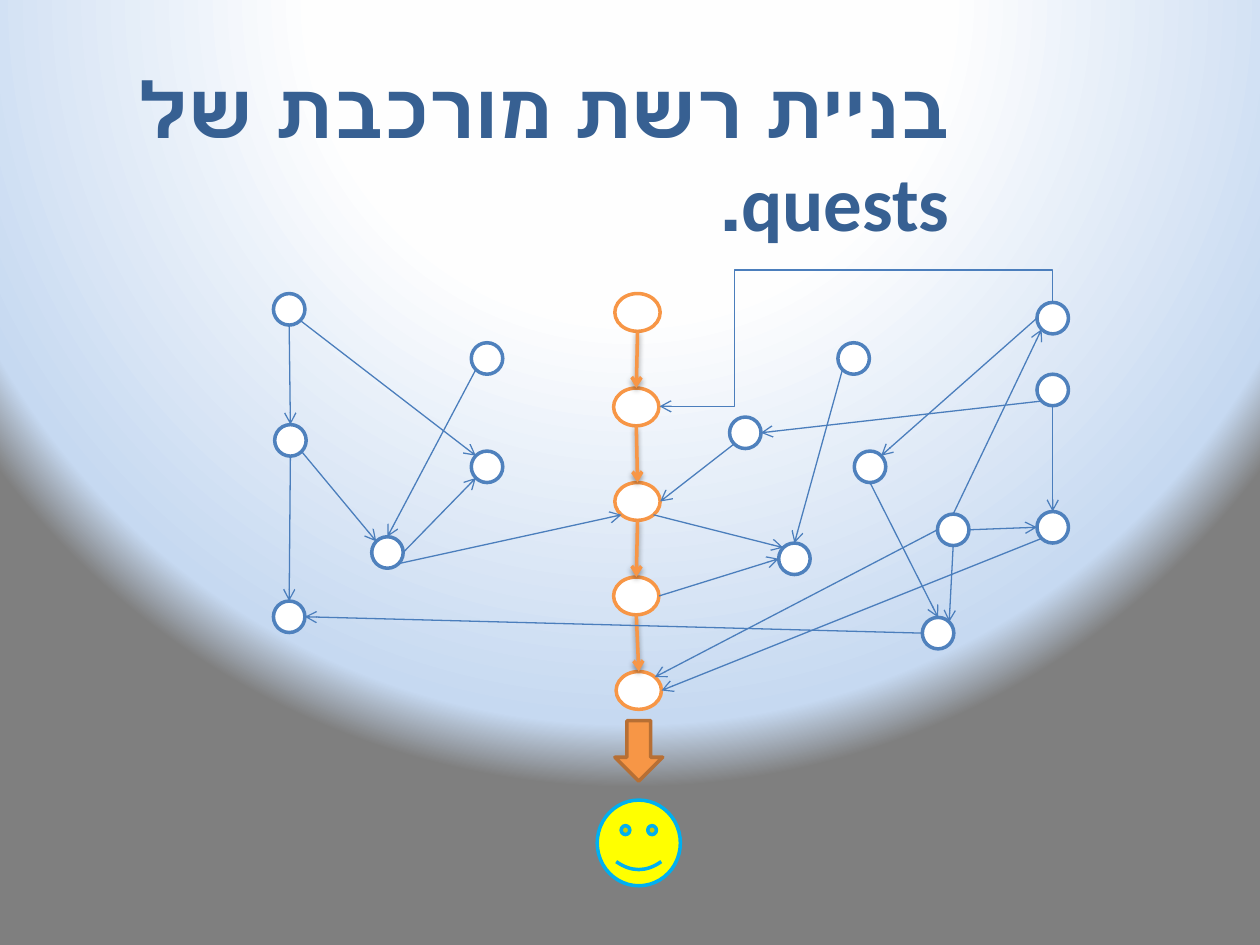
from lxml import etree
from pptx import Presentation
from pptx import util as u
from pptx.dml.color import RGBColor
from pptx.enum import shapes, text
from pptx.oxml import parse_xml
from pptx.oxml.ns import nsdecls, qn

PX = 9144  # EMU per px, 100 px to the inch
COLORS = {
    "title": "376092", "white": "FFFFFF", "node": "4F81BD", "link": "4B7EBC",
    "quest": "F79646", "quest_edge": "B76F34", "face": "FFFF00", "face_edge": "00B0F0",
}
BACKGROUND = [(0, "FFFFFF"), (40, "FEFEFE"), (92, "C6D9F1"), (100, "7F7F7F")]
DIAG = 0.5 ** 0.5
SIDES = {"N": (0, -1), "S": (0, 1), "W": (-1, 0), "E": (1, 0), "NW": (-DIAG, -DIAG),
         "NE": (DIAG, -DIAG), "SW": (-DIAG, DIAG), "SE": (DIAG, DIAG)}

# Quest nodes: name -> left, top
SIDE_SIZE, MAIN_SIZE = (25, 25), (36, 30)
SIDE_NODES = {
    "a": (217, 233), "b": (217, 477), "c": (374, 272), "d": (218, 337), "e": (374, 358),
    "f": (295, 426), "g": (744, 408), "h": (665, 272), "i": (823, 297), "j": (823, 240),
    "k": (823, 406), "l": (678, 358), "n": (579, 331), "o": (732, 490), "p": (618, 431),
}
MAIN_NODES = {f"m{n + 1}": (x, 233 + 75 * n) for n, x in enumerate((488, 487, 488, 487, 489))}

# Links: start node, side, end node, side
LINKS = """a S d N, d SE f NW, d S b N, c SW f N, a SE e NW, f E e SW, f SE m3 SW,
h SW p N, j W l NE, m3 SE p NW, n SW m3 E, l S o N, i SW n E, k SW m5 E, m4 E p W,
g W m5 NE, i S k N, g N j SW, g E k W, g S o NE, o W b E"""


def rgb(name):
    return RGBColor.from_string(COLORS[name])


def px(n):
    return u.Emu(round(n * PX))


class Deck:
    """Holds the style and the current slide."""

    def __init__(self):
        self.prs = Presentation()
        self.prs.slide_width, self.prs.slide_height = px(1000), px(750)
        self.s = self.prs.slides.add_slide(self.prs.slide_layouts[5])

    def background(self, stops):
        fill = self.s.background.fill
        fill.solid()
        bg = self.s.element.find(".//" + qn("p:bgPr"))
        marks = "".join(f'<a:gs pos="{pos * 1000}"><a:srgbClr val="{c}"/></a:gs>' for pos, c in stops)
        grad = parse_xml(
            f'<a:gradFill {nsdecls("a")} rotWithShape="1"><a:gsLst>{marks}</a:gsLst><a:path path="circle">'
            '<a:fillToRect l="50000" t="-80000" r="50000" b="180000"/></a:path></a:gradFill>')
        bg.replace(bg.find(qn("a:solidFill")), grad)

    def title(self, words, x, y, w, h):
        sp = self.s.shapes.title
        sp.left, sp.top, sp.width, sp.height = map(px, (x, y, w, h))
        tf = sp.text_frame
        frame = {"word_wrap": True, "auto_size": text.MSO_AUTO_SIZE.NONE,
                 "vertical_anchor": text.MSO_ANCHOR.TOP, "margin_left": 0, "margin_right": px(144)}
        for key, value in frame.items():
            setattr(tf, key, value)
        p = tf.paragraphs[0]
        p.alignment = text.PP_ALIGN.RIGHT
        p._p.get_or_add_pPr().set("rtl", "1")
        r = p.add_run()
        r.text = words
        for key, value in {"size": u.Pt(44), "name": "Calibri", "bold": True}.items():
            setattr(r.font, key, value)
        r.font.color.rgb = rgb("title")

    def shape(self, kind, pos, size, fill, line):
        sp = self.s.shapes.add_shape(kind, *map(px, pos + size))
        sp.shadow.inherit = False
        sp.fill.solid()
        sp.fill.fore_color.rgb = rgb(fill)
        sp.line.color.rgb = rgb(line)
        sp.line.width = u.Pt(2)
        return sp

    def arrow(self, start, end, color="link", width=0.75, shadow=False,
              kind=shapes.MSO_CONNECTOR.STRAIGHT):
        cx = self.s.shapes.add_connector(kind, *start, *end)
        cx.line.color.rgb = rgb(color)
        cx.line.width = u.Pt(width)
        etree.SubElement(cx.line._get_or_add_ln(), qn("a:tailEnd"), type="arrow")
        effects = etree.SubElement(cx._element.spPr, qn("a:effectLst"))
        if shadow:
            effects.append(parse_xml(
                f'<a:outerShdw {nsdecls("a")} blurRad="40000" dist="20000" dir="5400000" rotWithShape="0">'
                '<a:srgbClr val="000000"><a:alpha val="38000"/></a:srgbClr></a:outerShdw>'))
        return cx

    def bent_arrow(self, first, last, box, adjust):
        """Four-part elbow from the top of one node to the right side of another."""
        cx = self.arrow(side(first, "N"), side(last, "E"), kind=shapes.MSO_CONNECTOR.ELBOW)
        cx.begin_connect(first, 0)
        cx.end_connect(last, 3)
        cx._element.find(".//" + qn("a:endCxn")).set("idx", "6")  # right side of an ellipse
        cx.left, cx.top, cx.width, cx.height = map(px, box)
        xfrm = cx._element.spPr.find(qn("a:xfrm"))
        for key, value in {"rot": "16200000", "flipH": "1", "flipV": "1"}.items():
            xfrm.set(key, value)
        geom = cx._element.spPr.find(qn("a:prstGeom"))
        geom.set("prst", "bentConnector4")
        guides = geom.find(qn("a:avLst"))
        if guides is None:
            guides = etree.SubElement(geom, qn("a:avLst"))
        for n, value in enumerate(adjust, 1):
            etree.SubElement(guides, qn("a:gd"), name=f"adj{n}", fmla=f"val {value}")


def side(sp, name):
    """Point on the edge of an ellipse in a compass direction."""
    dx, dy = SIDES[name]
    return (u.Emu(round(sp.left + sp.width * (1 + dx) / 2)),
            u.Emu(round(sp.top + sp.height * (1 + dy) / 2)))


def main():
    deck = Deck()
    kinds = shapes.MSO_SHAPE
    deck.background(BACKGROUND)
    deck.title("בניית רשת מורכבת של quests.", 102, 44, 796, 84)

    # Nodes
    nodes = {}
    for group, size, line in ((SIDE_NODES, SIDE_SIZE, "node"), (MAIN_NODES, MAIN_SIZE, "quest")):
        for name, pos in group.items():
            nodes[name] = deck.shape(kinds.OVAL, pos, size, "white", line)

    # Main quest line
    chain = list(MAIN_NODES)
    for first, last in zip(chain, chain[1:]):
        deck.arrow(side(nodes[first], "S"), side(nodes[last], "N"), "quest", 2, shadow=True)

    # Side quest links
    for link in LINKS.split(","):
        first, out, last, into = link.split()
        deck.arrow(side(nodes[first], out), side(nodes[last], into))
    deck.bent_arrow(nodes["j"], nodes["m2"], (638, 125, 83, 312), (-30300, 81000))

    # Goal
    deck.shape(kinds.DOWN_ARROW, (488, 572), (38, 48), "quest", "quest_edge")
    deck.shape(kinds.SMILEY_FACE, (474, 635), (66, 68), "face", "face_edge")
    deck.prs.save("out.pptx")


if __name__ == "__main__":
    main()
